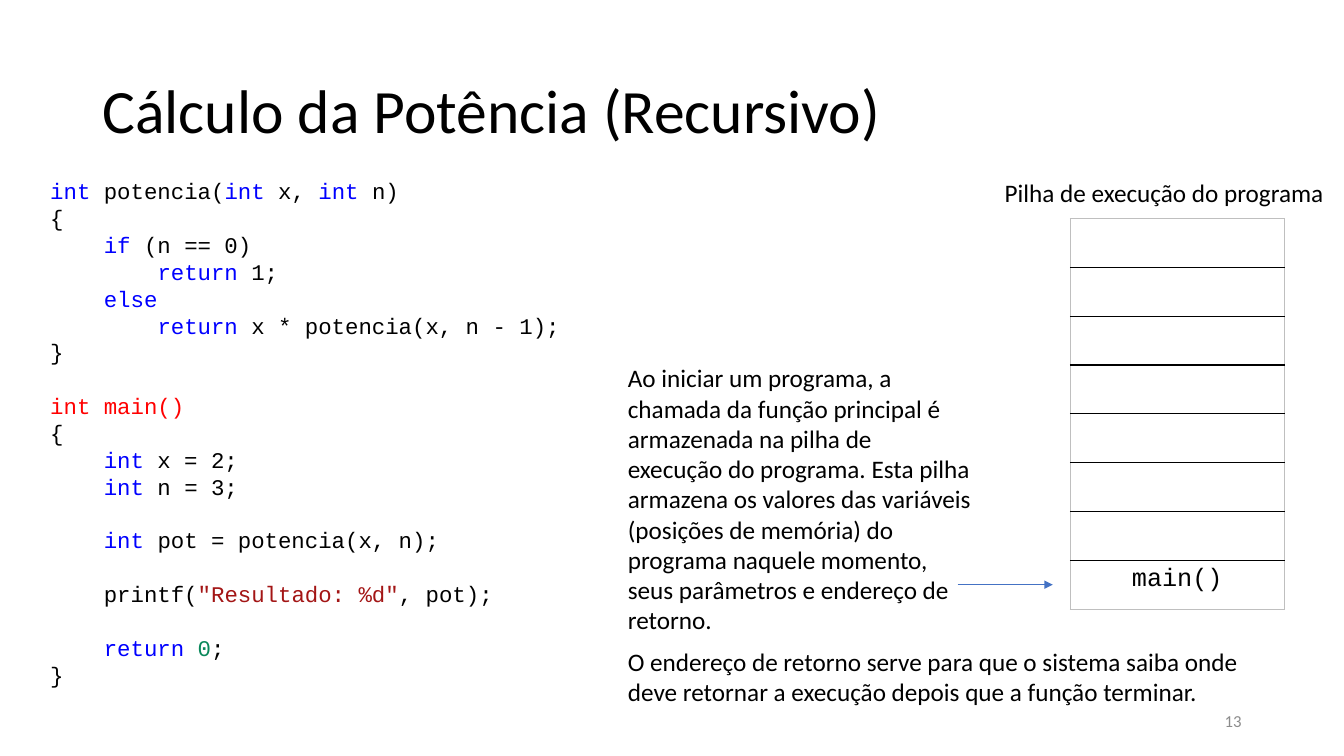
import pptx
import pptx.dml.color
import pptx.enum.shapes
import pptx.enum.text
import pptx.oxml
import pptx.oxml.ns
import pptx.util

Pt = pptx.util.Pt
ALIGN = pptx.enum.text.PP_ALIGN
ANCHOR = pptx.enum.text.MSO_ANCHOR

BLACK, BLUE, RED = "000000", "0000FF", "FF0000"
STRING, NUMBER = "A31515", "09885A"
ARROW, GRAY, EDGE = "4472C4", "8C8C8C", "BFBFBF"
CODE_PITCH = 19.2

# Each code line is a list of (text, colour) pieces; an empty list is a gap
CODE = [
    [("int", BLUE), (" potencia(", BLACK), ("int", BLUE), (" x, ", BLACK),
     ("int", BLUE), (" n)", BLACK)],
    [("{", BLACK)],
    [("    ", BLACK), ("if", BLUE), (" (n == 0)", BLACK)],
    [("        ", BLACK), ("return", BLUE), (" 1;", BLACK)],
    [("    ", BLACK), ("else", BLUE)],
    [("        ", BLACK), ("return", BLUE), (" x * potencia(x, n - 1);", BLACK)],
    [("}", BLACK)],
    [],
    [("int main()", RED)],
    [("{", BLACK)],
    [("    ", BLACK), ("int ", BLUE), ("x = 2;", BLACK)],
    [("    ", BLACK), ("int", BLUE), (" n = 3;", BLACK)],
    [],
    [("    int ", BLUE), ("pot = potencia(x, n);", BLACK)],
    [],
    [("    printf(", BLACK), ('"Resultado: %d"', STRING), (", pot);", BLACK)],
    [],
    [("    ", BLACK), ("return ", BLUE), ("0", NUMBER), (";", BLACK)],
    [("}", BLACK)],
]


def rgb(value):
    return pptx.dml.color.RGBColor.from_string(value)


def write(paragraph, text, size=18, font="Calibri", color=BLACK, align=None):
    run = paragraph.add_run()
    run.text = text
    run.font.size = Pt(size)
    run.font.name = font
    run.font.color.rgb = rgb(color)
    if align is not None:
        paragraph.alignment = align


def add_box(slide, left, top, width, height, wrap=True, anchor=ANCHOR.TOP):
    box = slide.shapes.add_textbox(Pt(left), Pt(top), Pt(width), Pt(height))
    frame = box.text_frame
    frame.word_wrap = wrap
    frame.vertical_anchor = anchor
    return frame


def add_title(slide, text):
    title = slide.shapes.title
    title.left, title.top, title.width, title.height = Pt(66), Pt(28.8), Pt(828), Pt(104.4)
    frame = title.text_frame
    frame.auto_size = pptx.enum.text.MSO_AUTO_SIZE.NONE
    frame.vertical_anchor = ANCHOR.MIDDLE
    frame.paragraphs[0].line_spacing = 0.9
    write(frame.paragraphs[0], text, size=44, align=ALIGN.LEFT)


def add_code(slide, lines):
    frame = add_box(slide, 28.8, 123.1, 430, 375.8)
    paragraph, gap = frame.paragraphs[0], 0
    for index, pieces in enumerate(lines):
        if not pieces:
            gap = CODE_PITCH
            continue
        if index:
            paragraph = frame.add_paragraph()
        paragraph.line_spacing = Pt(CODE_PITCH)
        if gap:
            paragraph.space_before = Pt(gap)
            gap = 0
        for text, color in pieces:
            write(paragraph, text, size=16, font="Courier New", color=color)


def add_arrow(slide, start, end, y):
    arrow = slide.shapes.add_connector(
        pptx.enum.shapes.MSO_CONNECTOR.STRAIGHT, Pt(start), Pt(y), Pt(end), Pt(y))
    arrow.line.color.rgb = rgb(ARROW)
    arrow.line.width = Pt(0.5)
    ns = pptx.oxml.ns.nsdecls("a")
    arrow.line._get_or_add_ln().append(
        pptx.oxml.parse_xml(f'<a:tailEnd {ns} type="triangle"/>'))
    arrow._element.spPr.append(pptx.oxml.parse_xml(f"<a:effectLst {ns}/>"))


def set_border(cell, side, color, width):
    ns = pptx.oxml.ns.nsdecls("a")
    cell._tc.get_or_add_tcPr().append(pptx.oxml.parse_xml(
        f'<a:{side} {ns} w="{Pt(width)}"><a:solidFill><a:srgbClr val="{color}"/>'
        f"</a:solidFill></a:{side}>"))


def add_stack(slide, entries):
    row_height = 34.88
    stack = slide.shapes.add_table(
        len(entries), 1, Pt(764.4), Pt(156.1), Pt(153), Pt(row_height * len(entries))).table
    stack.first_row = stack.horz_banding = False
    last = len(entries) - 1
    for index, entry in enumerate(entries):
        stack.rows[index].height = Pt(row_height)
        cell = stack.cell(index, 0)
        # Grey outer edge, black lines between the frames of the stack
        outer, inner = (EDGE, 0.5), (BLACK, 1)
        set_border(cell, "lnL", *outer)
        set_border(cell, "lnR", *outer)
        set_border(cell, "lnT", *(outer if index == 0 else inner))
        set_border(cell, "lnB", *(outer if index == last else inner))
        cell.fill.background()
        if entry:
            write(cell.text_frame.paragraphs[0], entry, font="Courier New",
                  align=ALIGN.CENTER)


def main():
    deck = pptx.Presentation()
    deck.slide_width, deck.slide_height = Pt(960), Pt(540)
    slide = deck.slides.add_slide(deck.slide_layouts[5])

    # Title and slide number
    add_title(slide, "Cálculo da Potência (Recursivo)")
    number = add_box(slide, 678, 500.5, 216, 28.8, anchor=ANCHOR.MIDDLE)
    write(number.paragraphs[0], "13", size=12, color=GRAY, align=ALIGN.RIGHT)

    # Program listing
    add_code(slide, CODE)

    # Execution stack with its caption and arrow
    caption = add_box(slide, 710.6, 123.1, 249.1, 29.1, wrap=False)
    write(caption.paragraphs[0], "Pilha de execução do programa")
    add_stack(slide, [""] * 7 + ["main()"])
    add_arrow(slide, 684, 752, 417.6)

    # Explanations
    stack_note = add_box(slide, 441.4, 255.6, 260, 203.8)
    write(stack_note.paragraphs[0],
          "Ao iniciar um programa, a chamada da função principal é armazenada na "
          "pilha de execução do programa. Esta pilha armazena os valores das "
          "variáveis (posições de memória) do programa naquele momento, seus "
          "parâmetros e endereço de retorno.")
    return_note = add_box(slide, 441.4, 458, 480, 51)
    write(return_note.paragraphs[0],
          "O endereço de retorno serve para que o sistema saiba onde deve retornar "
          "a execução depois que a função terminar.")

    deck.save("out.pptx")


if __name__ == "__main__":
    main()
